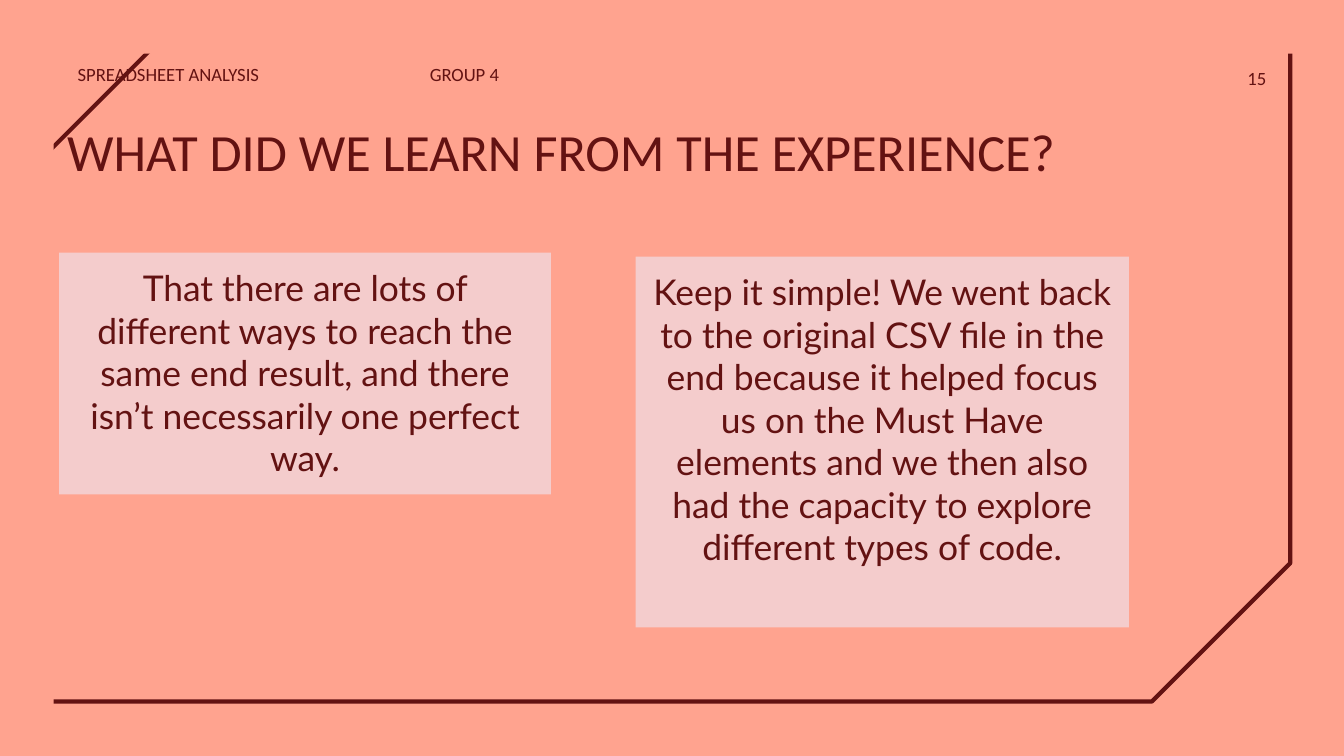
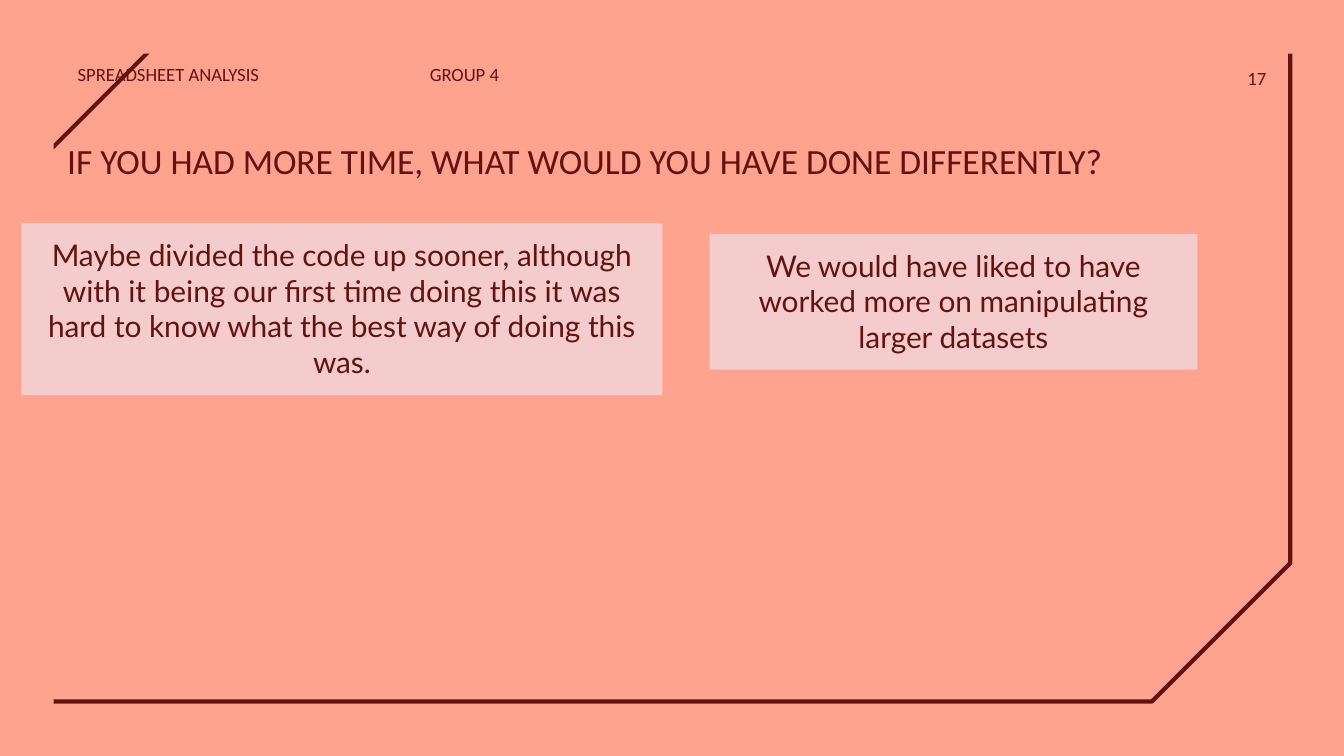
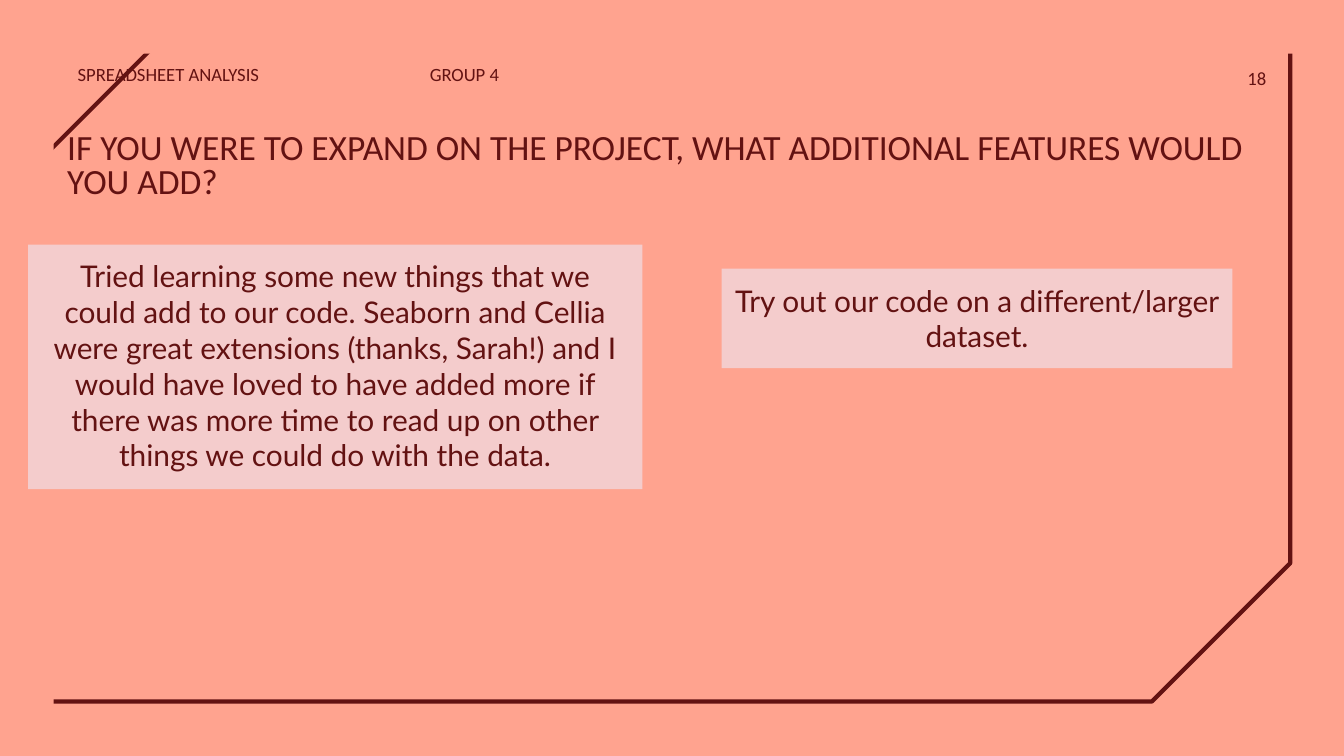
import pptx
import pptx.dml.color
import pptx.enum.shapes
import pptx.enum.text
import pptx.util

Inches = pptx.util.Inches
Shape = pptx.enum.shapes.MSO_SHAPE
Align = pptx.enum.text.PP_ALIGN
Anchor = pptx.enum.text.MSO_ANCHOR
AutoSize = pptx.enum.text.MSO_AUTO_SIZE

SALMON = pptx.dml.color.RGBColor(0xFF, 0xA3, 0x8F)
MAROON = pptx.dml.color.RGBColor(0x63, 0x12, 0x12)
BLUSH = pptx.dml.color.RGBColor(0xF4, 0xCC, 0xCC)

WIDTH = 10
HEIGHT = WIDTH * 9 / 16
MARGIN = 0.4
TITLE_ONLY = 5

SLIDES = [
    {
        "number": 15, "title": "WHAT DID WE LEARN FROM THE EXPERIENCE?",
        "title_top": 0.65, "title_size": 28, "answer_size": 19,
        "answers": [
            ("That there are lots of different ways to reach the same end result, "
             "and there isn’t necessarily one perfect way.", (0.44, 1.88, 3.66, 1.8)),
            ("Keep it simple! We went back to the original CSV file in the end because "
             "it helped focus us on the Must Have elements and we then also had the "
             "capacity to explore different types of code.", (4.73, 1.91, 3.67, 2.76)),
        ],
    },
    {
        "number": 17, "title": "IF YOU HAD MORE TIME, WHAT WOULD YOU HAVE DONE DIFFERENTLY?",
        "title_top": 0.65, "title_size": 19, "answer_size": 16,
        "answers": [
            ("Maybe divided the code up sooner, although with it being our first time "
             "doing this it was hard to know what the best way of doing this was.",
             (0.16, 1.66, 4.77, 1.28)),
            ("We would have liked to have worked more on manipulating larger datasets",
             (5.28, 1.74, 3.63, 1.01)),
        ],
    },
    {
        "number": 18,
        "title": "IF YOU WERE TO EXPAND ON THE PROJECT, WHAT ADDITIONAL FEATURES WOULD YOU ADD?",
        "title_top": 0.8, "title_size": 19, "answer_size": 16,
        "answers": [
            ("Tried learning some new things that we could add to our code. Seaborn and "
             "Cellia were great extensions (thanks, Sarah!) and I would have loved to have "
             "added more if there was more time to read up on other things we could do "
             "with the data.", (0.21, 1.82, 4.57, 1.82)),
            ("Try out our code on a different/larger dataset.", (5.37, 2, 3.8, 0.74)),
        ],
    },
]


def write(frame, text, *, size, font="Calibri", align=Align.LEFT, anchor=Anchor.TOP,
          spacing=1.0, fit=AutoSize.NONE):
    frame.word_wrap = True
    frame.auto_size = fit
    frame.vertical_anchor = anchor
    frame.margin_left = frame.margin_right = Inches(0.1)
    frame.margin_top = frame.margin_bottom = Inches(0.1)
    paragraph = frame.paragraphs[0]
    paragraph.alignment = align
    paragraph.line_spacing = spacing
    run = paragraph.add_run()
    run.text = text
    run.font.name = font
    run.font.size = pptx.util.Pt(size)
    run.font.color.rgb = MAROON


class Deck:
    """Hold the presentation style and the slide being built."""

    def __init__(self):
        self.presentation = pptx.Presentation()
        self.presentation.slide_width = Inches(WIDTH)
        self.presentation.slide_height = Inches(HEIGHT)
        backdrop = self.presentation.slide_master.background.fill
        backdrop.solid()
        backdrop.fore_color.rgb = SALMON
        self.slide = None

    def start_slide(self, number):
        layout = self.presentation.slide_layouts[TITLE_ONLY]
        self.slide = self.presentation.slides.add_slide(layout)
        self.border()
        self.label(str(number), (8.77, 0.4, 0.75, 0.36), align=Align.RIGHT, anchor=Anchor.MIDDLE)
        self.label("SPREADSHEET ANALYSIS", (0.48, 0.4, 2.37, 0.35), spacing=0.8)
        self.label("GROUP 4", (3.1, 0.4, 2.37, 0.35), spacing=0.8)

    def panel(self, box, kind=Shape.RECTANGLE, fill=None):
        panel = self.slide.shapes.add_shape(kind, *map(Inches, box))
        panel.shadow.inherit = False
        if fill is None:
            panel.fill.background()
            panel.line.color.rgb = MAROON
            panel.line.width = pptx.util.Pt(2.25)
        else:
            panel.fill.solid()
            panel.fill.fore_color.rgb = fill
            panel.line.fill.background()
        return panel

    def border(self):
        outline = self.panel((0.19, 0.27, 9.41, 4.95), Shape.SNIP_2_DIAG_RECTANGLE)
        outline.adjustments[0] = 0.208
        outline.adjustments[1] = 0
        self.panel((0, 0, WIDTH, MARGIN), fill=SALMON)
        self.panel((0, 0, MARGIN, HEIGHT), fill=SALMON)

    def label(self, text, box, **style):
        label = self.slide.shapes.add_textbox(*map(Inches, box))
        write(label.text_frame, text, size=10, **style)

    def title(self, text, top, size):
        title = self.slide.shapes.title
        title.left, title.top = Inches(MARGIN), Inches(top)
        title.width, title.height = Inches(WIDTH - 2 * MARGIN), Inches(0.8)
        write(title.text_frame, text, size=size, anchor=Anchor.BOTTOM, spacing=0.8)

    def answer(self, text, box, size):
        card = self.panel(box, fill=BLUSH)
        write(card.text_frame, text, size=size, font="Lato", align=Align.CENTER,
              fit=AutoSize.SHAPE_TO_FIT_TEXT)


def main():
    deck = Deck()
    for content in SLIDES:
        deck.start_slide(content["number"])
        deck.title(content["title"], content["title_top"], content["title_size"])
        for text, box in content["answers"]:
            deck.answer(text, box, content["answer_size"])
    deck.presentation.save("out.pptx")


if __name__ == "__main__":
    main()
